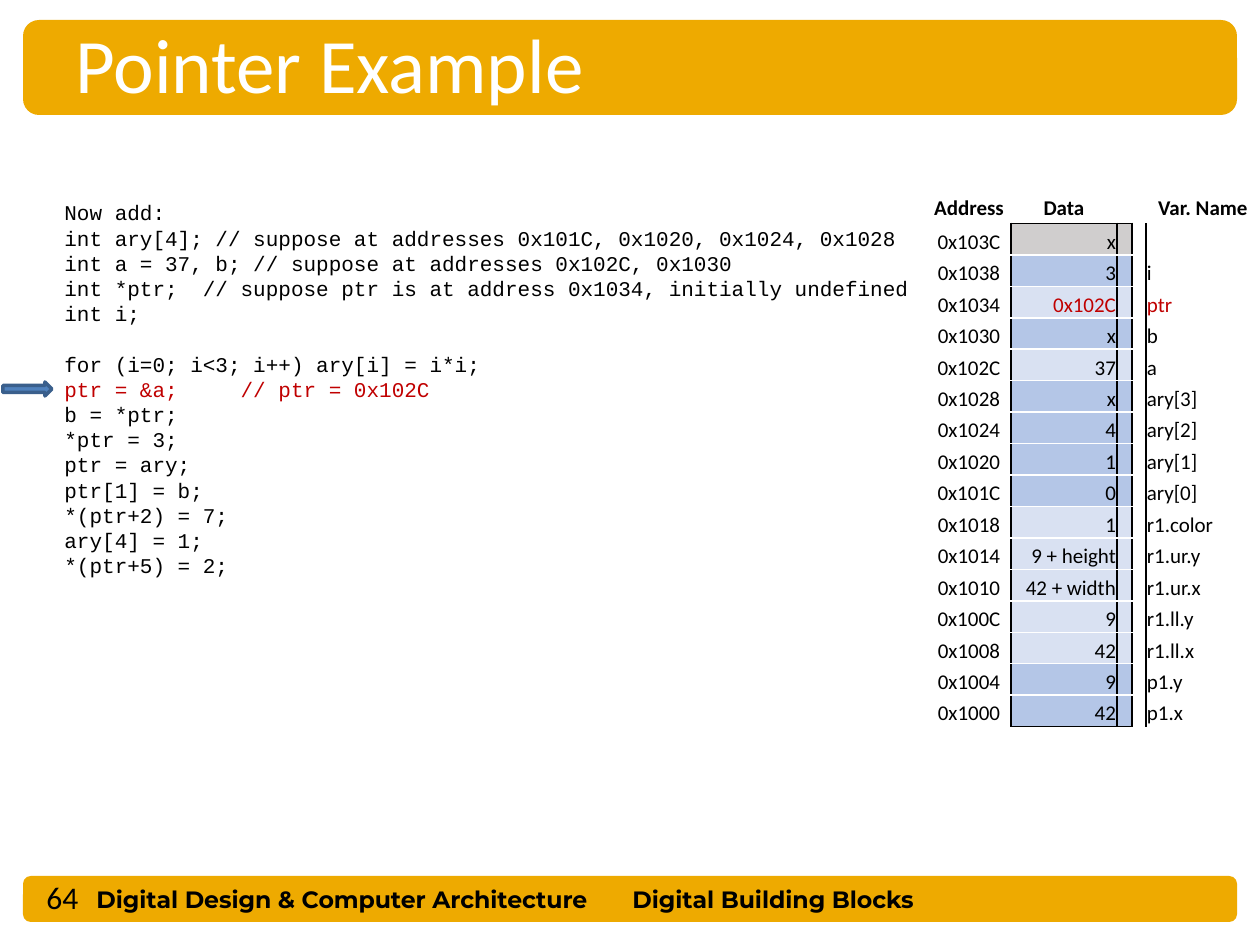
from dataclasses import dataclass

from lxml import etree
from pptx import Presentation
from pptx import util as u
from pptx.dml.color import RGBColor
from pptx.enum import shapes, text
from pptx.oxml.ns import qn


@dataclass(frozen=True)
class Theme:
    """Colours, fonts and type sizes of the deck."""
    gold: str = "EEAA00"
    ink: str = "000000"
    paper: str = "FFFFFF"
    red: str = "C00000"
    blue: str = "4F81BD"
    edge: str = "3A5F8C"
    grey: str = "D0CECE"
    dark: str = "B4C6E7"
    light: str = "D9E1F2"
    sans: str = "Calibri"
    mono: str = "Courier New"
    brand: str = "Montserrat"
    title: float = 44
    page: float = 18
    foot: float = 13.5
    body: float = 12
    lead: float = 14.4


T = Theme()
PLAIN = "{2D5ABB26-0587-4C30-8999-92F81FD0307C}"
LEFT, MID, RIGHT = text.PP_ALIGN.LEFT, text.PP_ALIGN.CENTER, text.PP_ALIGN.RIGHT

CODE = [
    "Now add:",
    "int ary[4]; // suppose at addresses 0x101C, 0x1020, 0x1024, 0x1028",
    "int a = 37, b; // suppose at addresses 0x102C, 0x1030",
    "int *ptr;  // suppose ptr is at address 0x1034, initially undefined",
    "int i;",
    "for (i=0; i<3; i++) ary[i] = i*i;",
    "ptr = &a;     // ptr = 0x102C",
    "b = *ptr;",
    "*ptr = 3;",
    "ptr = ary;",
    "ptr[1] = b;",
    "*(ptr+2) = 7;",
    "ary[4] = 1;",
    "*(ptr+5) = 2;",
]
LOOP, NOW = 5, 6

TOP = 0x103C
CELLS = [
    ("x", "", T.grey), ("3", "i", T.dark), ("0x102C", "ptr", T.light),
    ("x", "b", T.dark), ("37", "a", T.light), ("x", "ary[3]", T.dark),
    ("4", "ary[2]", T.dark), ("1", "ary[1]", T.dark), ("0", "ary[0]", T.dark),
    ("1", "r1.color", T.light), ("9 + height", "r1.ur.y", T.light),
    ("42 + width", "r1.ur.x", T.light), ("9", "r1.ll.y", T.light),
    ("42", "r1.ll.x", T.light), ("9", "p1.y", T.dark), ("42", "p1.x", T.dark),
]


def px(n):
    """Turn pixels into EMU."""
    return u.Emu(round(n * 914400 / 126))


def area(*box):
    """Turn a pixel box into EMU lengths."""
    return [px(n) for n in box]


def rgb(tone):
    """Make a colour from its hex name."""
    return RGBColor.from_string(tone)


def write(para, words, size, face, tone, bold=False):
    """Add one styled run to a paragraph."""
    run = para.add_run()
    run.text = words
    font = run.font
    font.size, font.name, font.bold = u.Pt(size), face, bold
    font.color.rgb = rgb(tone)


def frame(slide, box):
    """Add a wrapping, vertically centred text box and return its frame."""
    body = slide.shapes.add_textbox(*area(*box)).text_frame
    body.word_wrap = True
    body.vertical_anchor = text.MSO_ANCHOR.MIDDLE
    return body


def label(slide, box, words, size, face, tone, bold=False):
    """Place a single line of text."""
    write(frame(slide, box).paragraphs[0], words, size, face, tone, bold)


def solid(slide, kind, box, fill, line=None):
    """Place a flat filled shape."""
    item = slide.shapes.add_shape(kind, *area(*box))
    item.shadow.inherit = False
    item.fill.solid()
    item.fill.fore_color.rgb = rgb(fill)
    if line:
        item.line.color.rgb = rgb(line)
        item.line.width = u.Pt(2)
    else:
        item.line.fill.background()


def header(slide, x, y, w, h):
    """Draw the title band."""
    solid(slide, shapes.MSO_SHAPE.ROUNDED_RECTANGLE, (x, y, w, h), T.gold)
    label(slide, (x + 40, y - 10, 1092, 106), "Pointer Example", T.title, T.sans, T.paper)


def footer(slide, x, y, w, h):
    """Draw the footer band with page number and course names."""
    solid(slide, shapes.MSO_SHAPE.ROUNDED_RECTANGLE, (x, y, w, h), T.gold)
    label(slide, (x + 11, y - 4, 103, 49), "64", T.page, T.sans, T.ink)
    for left, wide, words in ((61, 559, "Digital Design & Computer Architecture"),
                              (597, 370, "Digital Building Blocks")):
        label(slide, (x + left, y + 2, wide, 42), words, T.foot, T.brand, T.ink, True)


def listing(slide, x, y, w, h):
    """Write the code and point at the current line."""
    body = frame(slide, (x, y, w, h))
    for row, words in enumerate(CODE):
        para = body.add_paragraph() if row else body.paragraphs[0]
        para.line_spacing = u.Pt(T.lead)
        if row == LOOP:
            para.space_before = u.Pt(T.lead)
        write(para, words, T.body, T.mono, T.red if row == NOW else T.ink)
    solid(slide, shapes.MSO_SHAPE.RIGHT_ARROW, (x - 49, y + 190, 49, 14), T.blue, T.edge)


def border(cell, **sides):
    """Draw one-point borders on the named sides of a cell."""
    props = cell._tc.get_or_add_tcPr()
    for side in "LRTB":
        if side in sides:
            line = etree.SubElement(props, qn("a:ln" + side), w=str(u.Pt(1)))
            fill = etree.SubElement(line, qn("a:solidFill"))
            etree.SubElement(fill, qn("a:srgbClr"), val=sides[side])


def fill(cell, words, align, tone=T.ink, bold=False):
    """Set the text and margins of a cell."""
    cell.margin_left = cell.margin_right = cell.margin_top = px(1)
    cell.margin_bottom = 0
    cell.vertical_anchor = text.MSO_ANCHOR.MIDDLE if bold else text.MSO_ANCHOR.BOTTOM
    para = cell.text_frame.paragraphs[0]
    para.alignment = align
    if words:
        write(para, words, T.body, T.sans, tone, bold)
    else:
        etree.SubElement(para._p, qn("a:endParaRPr"), sz=str(T.body * 100))


def memory(slide, x, y, w, h):
    """Build the memory table."""
    grid = slide.shapes.add_table(len(CELLS) + 1, 5, *area(x, y, w, h)).table
    grid.first_row = grid.horz_banding = False
    grid._tbl.tblPr.find(qn("a:tableStyleId")).text = PLAIN
    for col, wide in zip(grid.columns, (84, 106, 15, 14, w - 219)):
        col.width = px(wide)
    for col, words in enumerate(("Address", "Data", "", "", "Var. Name")):
        cell = grid.cell(0, col)
        fill(cell, words, MID, bold=True)
        if col in (1, 2):
            border(cell, B=T.ink)
        cell.fill.background()
    for row, (data, name, tone) in enumerate(CELLS, 1):
        ink = T.red if name == "ptr" else T.ink
        spot = f"0x{TOP - 4 * (row - 1):X}"
        above = T.ink if row == 1 else T.paper
        below = T.ink if row == len(CELLS) else T.paper
        edges = ({"R": T.ink}, {"L": T.ink, "T": above, "B": below},
                 {"R": T.ink, "T": above, "B": below}, {"L": T.ink}, {})
        parts = ((spot, MID, T.ink), (data, RIGHT, ink), ("", LEFT, ink),
                 ("", LEFT, ink), (name, LEFT, ink))
        for col, (part, edge) in enumerate(zip(parts, edges)):
            cell = grid.cell(row, col)
            fill(cell, *part)
            border(cell, **edge)
            if col in (1, 2):
                cell.fill.solid()
                cell.fill.fore_color.rgb = rgb(tone)
            else:
                cell.fill.background()


def main():
    """Build and save the slide."""
    deck = Presentation()
    deck.slide_width, deck.slide_height = area(1260, 945)
    slide = deck.slides.add_slide(deck.slide_layouts[6])
    footer(slide, 23, 876, 1214, 46)
    header(slide, 23, 20, 1214, 95)
    listing(slide, 52, 192, 876, 394)
    memory(slide, 927, 192, 333, 535)
    deck.save("out.pptx")


if __name__ == "__main__":
    main()
